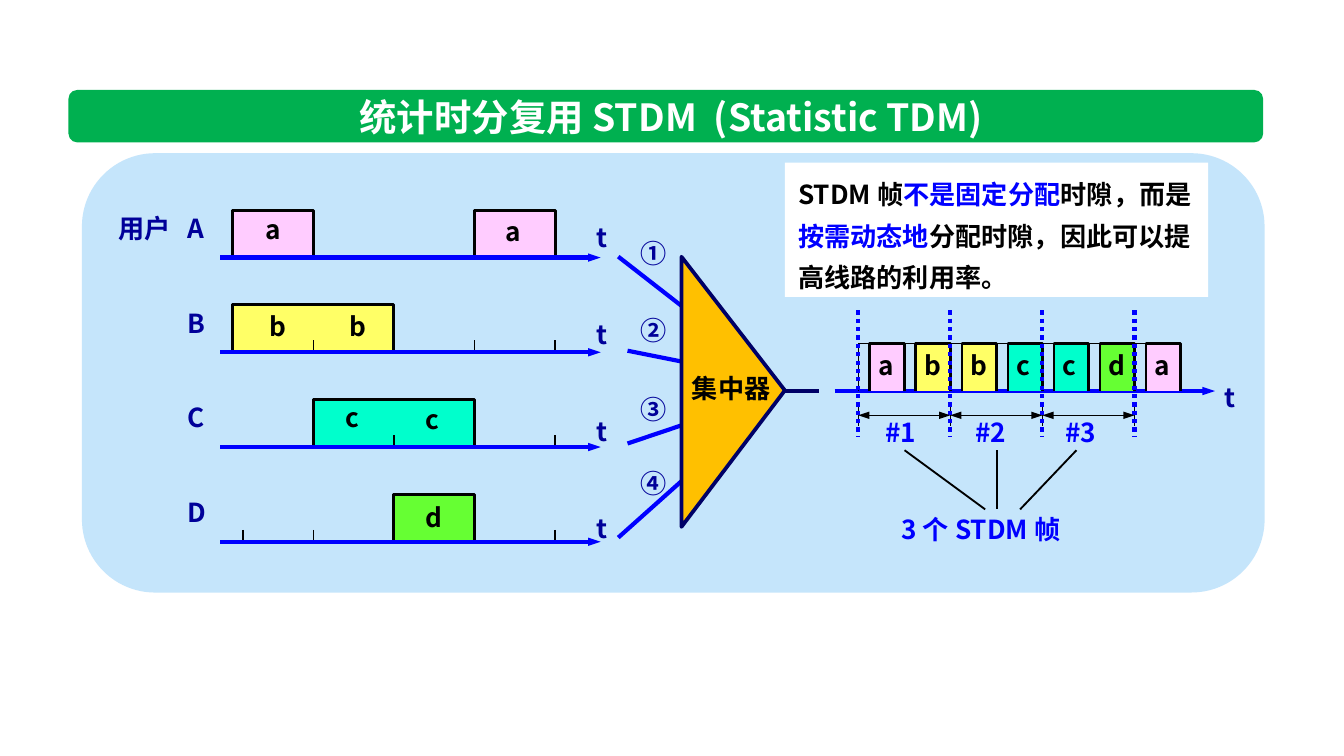
"""Build a slide that explains statistical time division multiplexing."""
from typing import NamedTuple

from lxml import etree
from pptx import Presentation, util as u
from pptx.dml.color import RGBColor
from pptx.enum import dml, shapes, text
from pptx.oxml.ns import qn

Pt = u.Pt
FONT = "Noto Sans CJK SC"
WHITE = RGBColor(0xFF, 0xFF, 0xFF)
BLACK = RGBColor(0, 0, 0)
GREEN = RGBColor(0x00, 0xB0, 0x50)
PALE_BLUE = RGBColor(0xC5, 0xE5, 0xFB)
BLUE = RGBColor(0, 0, 0xFF)
NAVY = RGBColor(0, 0, 0x99)
DARK_NAVY = RGBColor(0, 0, 0x66)
ORANGE = RGBColor(0xFF, 0xC0, 0x00)
PINK = RGBColor(0xFF, 0xCC, 0xFF)
YELLOW = RGBColor(0xFF, 0xFF, 0x66)
TEAL = RGBColor(0x00, 0xFF, 0xCC)
LIME = RGBColor(0x66, 0xFF, 0x33)

SLOT_LEFT, SLOT_WIDTH, BLOCK_HEIGHT = 124.6, 43.2, 25.4
AXIS_TOP, AXIS_STEP = 138, 50.75
LINK_AXIS, LINK_LEFT, LINK_STEP, LINK_GAP = 209.5, 459.8, 24.66, 6.2
FRAME_STEP = 2 * LINK_STEP
TICK = 6.4


class Label(NamedTuple):
    text: str
    left: float
    top: float
    width: float = 23
    color: RGBColor = BLACK


class Block(NamedTuple):
    first_slot: int
    slot_count: int


class Signal(NamedTuple):
    name: str
    color: RGBColor
    blocks: list[Block]
    ticks: list[float]
    letters: list[Label]


class Entry(NamedTuple):
    number: str
    label_top: float
    start: tuple[float, float]
    end: tuple[float, float]


SIGNALS = [
    Signal("A", PINK, [Block(0, 1), Block(3, 1)], [],
           [Label("a", 135.4, 110.9), Label("a", 263.5, 111.6)]),
    Signal("B", YELLOW, [Block(0, 2)], [1, 3, 4],
           [Label("b", 137.5, 162.7), Label("b", 180, 162.7)]),
    Signal("C", TEAL, [Block(1, 2)], [2, 4],
           [Label("c", 177.8, 211.7, 21.6), Label("c", 221, 212.4, 21.6)]),
    Signal("D", LIME, [Block(2, 1)], [0.13, 1, 4], [Label("d", 221, 265)]),
]
ENTRIES = [
    Entry("①", 123.8, (331.2, 137.5), (402.5, 193)),
    Entry("②", 164.9, (336.2, 187.9), (404.6, 201.6)),
    Entry("③", 207.4, (336.2, 237.6), (404.6, 214.6)),
    Entry("④", 247, (331.2, 288), (404.6, 222.5)),
]
LINK_BLOCKS = [("a", PINK), ("b", YELLOW), ("b", YELLOW), ("c", TEAL),
               ("c", TEAL), ("d", LIME), ("a", PINK)]
NOTE = [("STDM 帧", BLACK), ("不是固定分配", BLUE), ("时隙，而是", BLACK),
        ("按需动态地", BLUE), ("分配时隙，因此可以提高线路的利用率。", BLACK)]


def set_font(font, size: float, color: RGBColor) -> None:
    """Apply the bold slide font."""
    font.name, font.size, font.bold = FONT, Pt(size), True
    font.color.rgb = color


def add_east_asian_font(shape) -> None:
    """Use the slide font for Chinese characters too."""
    for latin in list(shape.element.iter(qn("a:latin"))):
        east_asian = etree.Element(qn("a:ea"), typeface=FONT)
        latin.addnext(east_asian)


def add_label(slide, label: Label, wrap: bool = False) -> None:
    """Add a 14 pt text label."""
    shape = slide.shapes.add_textbox(
        Pt(label.left), Pt(label.top), Pt(label.width), Pt(24.5))
    frame = shape.text_frame
    frame.word_wrap = wrap
    frame.auto_size = text.MSO_AUTO_SIZE.SHAPE_TO_FIT_TEXT
    frame.text = label.text
    set_font(frame.paragraphs[0].font, 14, label.color)
    add_east_asian_font(shape)


def add_panel(slide, kind, left: float, top: float, width: float,
              height: float, color: RGBColor):
    """Add a filled preset shape without an outline."""
    shape = slide.shapes.add_shape(kind, Pt(left), Pt(top), Pt(width), Pt(height))
    shape.shadow.inherit = False
    shape.fill.solid()
    shape.fill.fore_color.rgb = color
    shape.line.fill.background()
    return shape


def add_line(slide, start: tuple[float, float], end: tuple[float, float],
             color: RGBColor = BLACK, width: float = 0.75,
             arrows: tuple[str, ...] = ()):
    """Add a straight line with optional headEnd and tailEnd arrows."""
    line = slide.shapes.add_connector(
        shapes.MSO_CONNECTOR.STRAIGHT, *(Pt(value) for value in (*start, *end)))
    line.line.color.rgb = color
    line.line.width = Pt(width)
    properties = line.element.spPr
    for arrow in arrows:
        etree.SubElement(properties.find(qn("a:ln")), qn(f"a:{arrow}"),
                         type="triangle", w="sm", len="med")
    etree.SubElement(properties, qn("a:effectLst"))
    return line


def add_block(slide, left: float, bottom: float, width: float,
              color: RGBColor | None = None) -> None:
    """Add a time slot that is open at the bottom."""
    top, right = bottom - BLOCK_HEIGHT, left + width
    builder = slide.shapes.build_freeform(Pt(left), Pt(bottom))
    builder.add_line_segments(
        [(Pt(x), Pt(y)) for x, y in ((left, top), (right, top), (right, bottom))],
        close=False)
    shape = builder.convert_to_shape()
    shape.shadow.inherit = False
    shape.line.color.rgb = BLACK
    if color is None:
        shape.fill.background()
        shape.line.width = Pt(0.75)
    else:
        shape.fill.solid()
        shape.fill.fore_color.rgb = color
        shape.line.width = Pt(1.5)


def add_title(slide) -> None:
    """Place the title on its green bar."""
    title = slide.shapes.title
    title.left, title.top, title.width, title.height = Pt(98.6), Pt(48.2), Pt(522), Pt(28.1)
    bar = add_panel(slide, shapes.MSO_SHAPE.ROUNDED_RECTANGLE, 36.7, 48.2, 640, 28.1, GREEN)
    title.element.addprevious(bar.element)
    frame = title.text_frame
    frame.text = "统计时分复用 STDM  (Statistic TDM)"
    frame.auto_size = text.MSO_AUTO_SIZE.NONE
    frame.vertical_anchor = text.MSO_ANCHOR.MIDDLE
    paragraph = frame.paragraphs[0]
    paragraph.alignment = text.PP_ALIGN.CENTER
    set_font(paragraph.font, 20, WHITE)
    add_east_asian_font(title)


def add_signals(slide) -> None:
    """Draw the four user signals on their time axes."""
    add_label(slide, Label("用户", 56.2, 110.2, 42.5, NAVY))
    for row, signal in enumerate(SIGNALS):
        axis = AXIS_TOP + row * AXIS_STEP
        for block in signal.blocks:
            add_block(slide, SLOT_LEFT + block.first_slot * SLOT_WIDTH, axis,
                      block.slot_count * SLOT_WIDTH, signal.color)
        for tick in signal.ticks:
            x = SLOT_LEFT + tick * SLOT_WIDTH
            add_line(slide, (x, axis - TICK), (x, axis))
        add_line(slide, (118.1, axis), (321.8, axis), BLUE, 2.25, ("tailEnd",))
        add_label(slide, Label(signal.name, 93.6, axis - 27.8, 25, NAVY))
        add_label(slide, Label("t", 312.5, 115.2 + 52 * row, 20, NAVY))
        for letter in signal.letters:
            add_label(slide, letter)


def add_concentrator(slide) -> None:
    """Draw the concentrator with its inputs and output."""
    for entry in ENTRIES:
        add_line(slide, entry.start, entry.end, BLUE, 2.25, ("tailEnd",))
        add_label(slide, Label(entry.number, 336.2, entry.label_top, 28.8, NAVY))
    triangle = add_panel(slide, shapes.MSO_SHAPE.ISOSCELES_TRIANGLE,
                         320.4, 182.2, 144.7, 55.4, ORANGE)
    triangle.rotation = 90
    triangle.adjustments[0] = 0.495
    triangle.line.color.rgb = DARK_NAVY
    triangle.line.width = Pt(2)
    add_label(slide, Label("集中器", 363.6, 195.8, 56.9))
    add_line(slide, (420.5, LINK_AXIS), (438.5, LINK_AXIS), DARK_NAVY, 2.25)


def add_shared_link(slide) -> None:
    """Draw the multiplexed link and its three frames."""
    add_line(slide, (447.1, LINK_AXIS), (650.9, LINK_AXIS), BLUE, 2.25, ("tailEnd",))
    add_label(slide, Label("t", 648.7, 200.9, 20, NAVY))
    for slot, (_, color) in enumerate(LINK_BLOCKS):
        left = LINK_LEFT + slot * LINK_STEP
        add_block(slide, left, LINK_AXIS, LINK_GAP)
        add_block(slide, left + LINK_GAP, LINK_AXIS, LINK_STEP - LINK_GAP, color)
    for boundary in range(4):
        x = LINK_LEFT + boundary * FRAME_STEP
        add_line(slide, (x, 216), (x, 228.2))
        dotted = add_line(slide, (x, 166.3), (x, 234), BLUE, 2.25)
        dotted.line.dash_style = dml.MSO_LINE.ROUND_DOT
    for slot, (letter, _) in enumerate(LINK_BLOCKS):
        add_label(slide, Label(letter, 463.7 + slot * LINK_STEP, 183.6))
    for number, (start, end) in enumerate([(484.6, 527.8), (534.2, 534.2), (576.7, 546.5)]):
        left = LINK_LEFT + number * FRAME_STEP
        add_line(slide, (left, 222.5), (left + FRAME_STEP, 222.5),
                 arrows=("headEnd", "tailEnd"))
        add_label(slide, Label(f"#{number + 1}", 467.3 + 48.2 * number, 219.6, 32.4, BLUE))
        add_line(slide, (start, 241.2), (end, 272.9), width=1)
    add_label(slide, Label("3 个 STDM 帧", 475.9, 271.4, 100, BLUE), wrap=True)


def add_note(slide) -> None:
    """Add the explanation in its white box."""
    shape = add_panel(slide, shapes.MSO_SHAPE.RECTANGLE, 420.5, 87.1, 226.8, 72, WHITE)
    frame = shape.text_frame
    frame.word_wrap = True
    frame.vertical_anchor = text.MSO_ANCHOR.TOP
    paragraph = frame.paragraphs[0]
    paragraph.alignment = text.PP_ALIGN.LEFT
    paragraph.line_spacing = Pt(22)
    for words, color in NOTE:
        run = paragraph.add_run()
        run.text = words
        set_font(run.font, 14, color)
    add_east_asian_font(shape)


def main() -> None:
    """Build and save the presentation."""
    presentation = Presentation()
    presentation.slide_width, presentation.slide_height = Pt(720), Pt(405)
    slide = presentation.slides.add_slide(presentation.slide_layouts[5])
    add_title(slide)
    add_panel(slide, shapes.MSO_SHAPE.ROUNDED_RECTANGLE, 43.9, 82.1, 633.6, 235.4, PALE_BLUE)
    add_signals(slide)
    add_concentrator(slide)
    add_shared_link(slide)
    add_note(slide)
    presentation.save("out.pptx")


if __name__ == "__main__":
    main()
